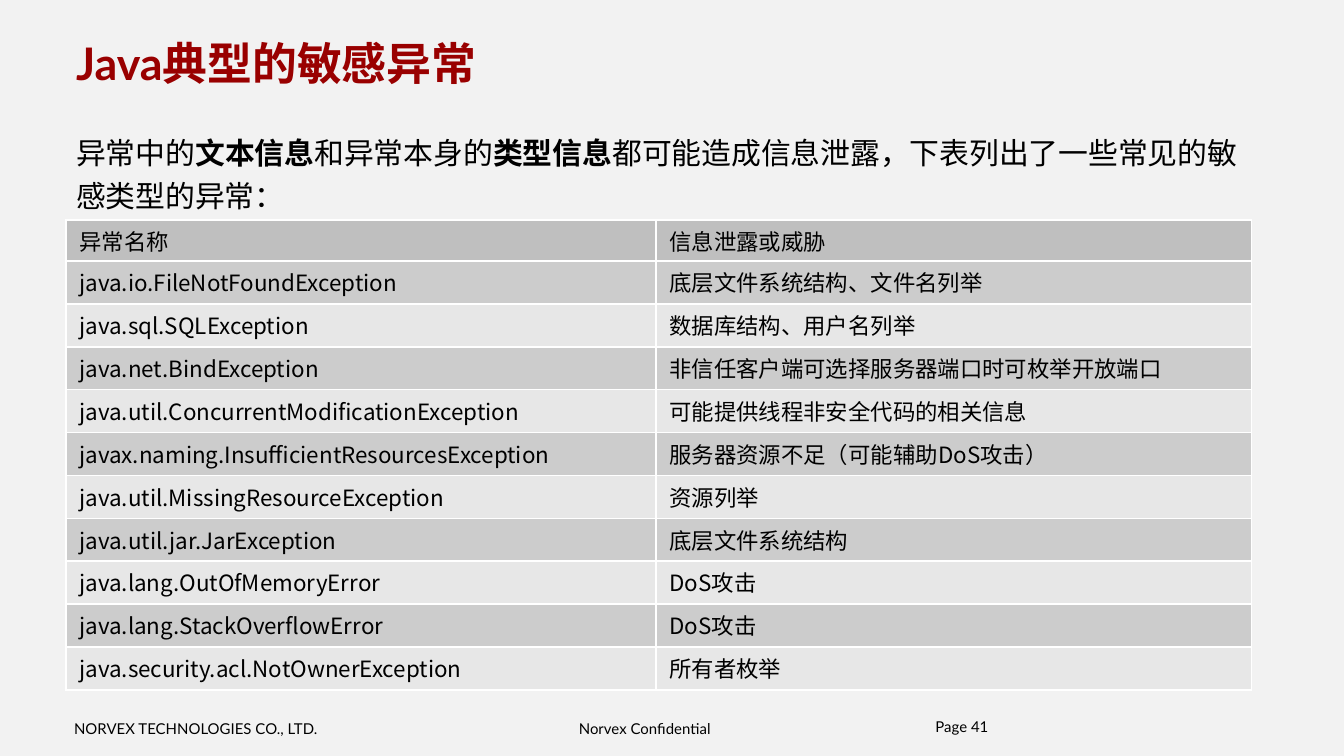
from lxml.etree import SubElement
from pptx import Presentation
from pptx.dml.color import RGBColor as Rgb
from pptx.enum.text import MSO_ANCHOR as Anchor, MSO_AUTO_SIZE as AutoSize, PP_ALIGN as Align
from pptx.oxml.ns import qn
from pptx.util import Cm, Pt

LATIN = "Lato"
CJK = "Noto Sans CJK SC"
BLACK = "000000"
WHITE = "FFFFFF"
HEADER_GREY = "BFBFBF"
BAND_GREYS = ("CCCCCC", "E7E7E7")

INTRO = [
    ("异常中的", False),
    ("文本信息", True),
    ("和异常本身的", False),
    ("类型信息", True),
    ("都可能造成信息泄露，下表列出了一些常见的敏感类型的异常：", False),
]

EXCEPTIONS = [
    ("异常名称", "信息泄露或威胁"),
    ("java.io.FileNotFoundException", "底层文件系统结构、文件名列举"),
    ("java.sql.SQLException", "数据库结构、用户名列举"),
    ("java.net.BindException", "非信任客户端可选择服务器端口时可枚举开放端口"),
    ("java.util.ConcurrentModificationException", "可能提供线程非安全代码的相关信息"),
    ("javax.naming.InsufficientResourcesException", "服务器资源不足（可能辅助DoS攻击）"),
    ("java.util.MissingResourceException", "资源列举"),
    ("java.util.jar.JarException", "底层文件系统结构"),
    ("java.lang.OutOfMemoryError", "DoS攻击"),
    ("java.lang.StackOverflowError", "DoS攻击"),
    ("java.security.acl.NotOwnerException", "所有者枚举"),
]

FOOTERS = [
    ("NORVEX TECHNOLOGIES CO., LTD.", 1.4, 13.59, 4.85, 0),
    ("Norvex Confidential", 10.69, 13.59, 3.2, 0.25),
    ("Page 41", 17.68, 13.55, 5.82, 0),
]


def color(value):
    return Rgb.from_string(value)


def set_font(paragraph, size, name, value=BLACK, bold=None):
    font = paragraph.font
    font.size, font.name, font.bold = Pt(size), name, bold
    font.color.rgb = color(value)
    SubElement(font._rPr, qn("a:ea"), typeface=CJK)


def set_margins(target, horizontal, vertical):
    target.margin_left = target.margin_right = Cm(horizontal)
    target.margin_top = target.margin_bottom = Cm(vertical)


def add_title(slide, text):
    title = slide.shapes.title
    title.left, title.top, title.width, title.height = Cm(1.25), Cm(0.58), Cm(22.4), Cm(1.22)
    frame = title.text_frame
    frame.text = text
    frame.vertical_anchor = Anchor.MIDDLE
    frame.auto_size = AutoSize.NONE
    set_margins(frame, 0.19, 0.1)
    paragraph = frame.paragraphs[0]
    paragraph.alignment = Align.LEFT
    set_font(paragraph, 24, LATIN, "990000", True)


def add_intro(slide, pieces):
    frame = slide.shapes.add_textbox(Cm(1.19), Cm(2.29), Cm(22.86), Cm(1.9)).text_frame
    frame.word_wrap = True
    paragraph = frame.paragraphs[0]
    paragraph.line_spacing = 1.2
    set_font(paragraph, 16, CJK)
    for text, bold in pieces:
        run = paragraph.add_run()
        run.text = text
        run.font.bold = bold


def add_borders(cell):
    properties = cell._tc.get_or_add_tcPr()
    for position, side in enumerate(("lnL", "lnR", "lnT", "lnB")):
        line = properties.makeelement(qn(f"a:{side}"), {"w": str(Pt(1))})
        fill = SubElement(line, qn("a:solidFill"))
        SubElement(fill, qn("a:srgbClr"), val=WHITE)
        properties.insert(position, line)


def fill_cell(cell, text, grey):
    cell.text = text
    set_margins(cell, 0.25, 0.09)
    cell.fill.solid()
    cell.fill.fore_color.rgb = color(grey)
    add_borders(cell)
    set_font(cell.text_frame.paragraphs[0], 12, CJK)


def add_exception_table(slide, entries):
    frame = slide.shapes.add_table(len(entries), 2, Cm(1.25), Cm(4.16), Cm(22.4), Cm(8.87))
    table = frame.table
    table.first_row = table.horz_banding = False
    for column, width in zip(table.columns, (11.15, 11.25)):
        column.width = Cm(width)
    for index, entry in enumerate(entries):
        table.rows[index].height = Cm(0.81 if index else 0.77)
        grey = BAND_GREYS[(index - 1) % 2] if index else HEADER_GREY
        for column, text in enumerate(entry):
            fill_cell(table.cell(index, column), text, grey)


def add_footer(slide, text, left, top, width, margin):
    frame = slide.shapes.add_textbox(Cm(left), Cm(top), Cm(width), Cm(0.33)).text_frame
    frame.word_wrap = False
    set_margins(frame, margin, 0)
    paragraph = frame.paragraphs[0]
    paragraph.text = text
    set_font(paragraph, 8, LATIN)


def main():
    presentation = Presentation()
    presentation.slide_width, presentation.slide_height = Cm(25.4), Cm(14.28)
    slide = presentation.slides.add_slide(presentation.slide_layouts[5])
    background = slide.background.fill
    background.solid()
    background.fore_color.rgb = color("F2F2F2")
    add_title(slide, "Java典型的敏感异常")
    add_intro(slide, INTRO)
    add_exception_table(slide, EXCEPTIONS)
    for footer in FOOTERS:
        add_footer(slide, *footer)
    presentation.save("out.pptx")


if __name__ == "__main__":
    main()
